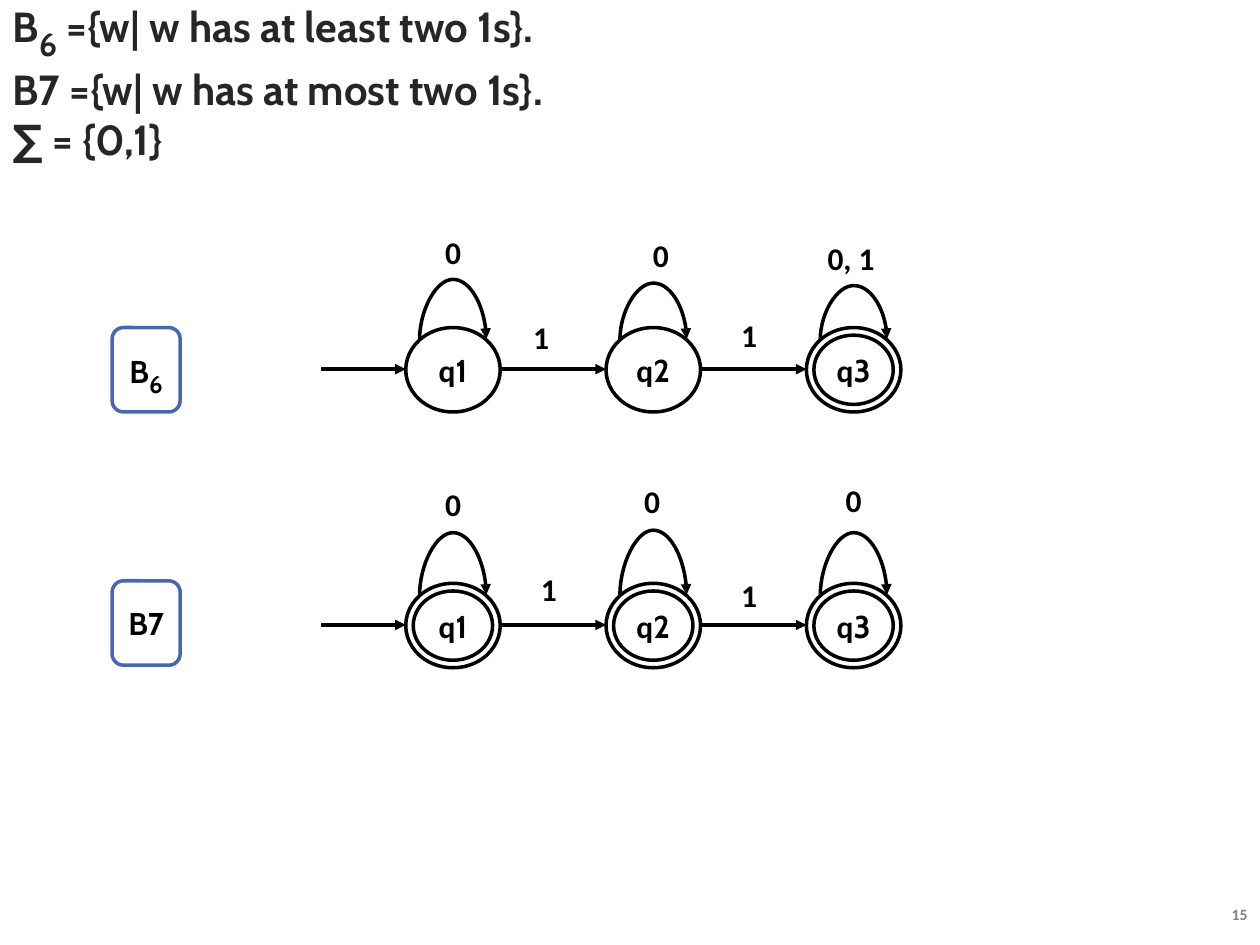
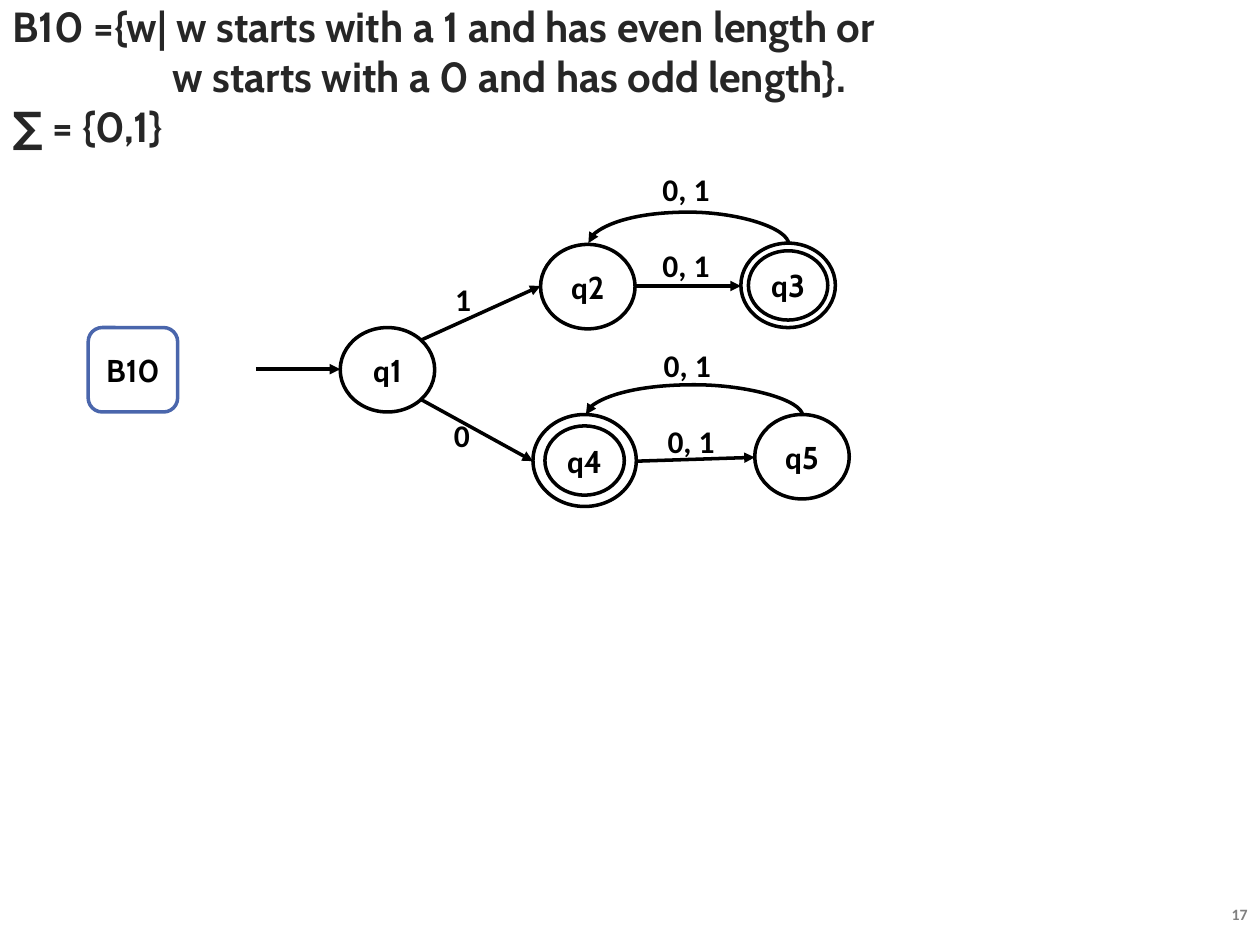
import dataclasses

import pptx
import pptx.dml.color
import pptx.enum.shapes
import pptx.enum.text
import pptx.oxml
import pptx.oxml.ns
import pptx.util

Inches = pptx.util.Inches
Shape = pptx.enum.shapes.MSO_SHAPE
Connector = pptx.enum.shapes.MSO_CONNECTOR
Align = pptx.enum.text.PP_ALIGN
Anchor = pptx.enum.text.MSO_ANCHOR
qn = pptx.oxml.ns.qn


@dataclasses.dataclass(frozen=True)
class Theme:
    ink: str = "000000"
    paper: str = "FFFFFF"
    heading: str = "262626"
    badge: str = "4A66AC"
    footer: str = "808080"
    display_font: str = "Cabin"
    text_font: str = "Calibri"
    heading_size: int = 24
    heading_sub_size: int = 32
    label_size: int = 18
    label_sub_size: int = 24
    footer_size: int = 9
    line_width: int = 2


theme = Theme()
color = pptx.dml.color.RGBColor.from_string

# Grid shared by the diagrams
COLUMN = 1.59                  # distance between neighbouring states
STATE = (0.75, 0.67)
RING = (0.63, 0.55)
LABEL = (0.65, 0.45)
LOOP_INSET = 0.11
LOOP_DROP = 0.10
CURVE_DEPTH = 0.01             # height difference between a curve's ends
ENTRY_LENGTH = 0.67


def add_box(page, preset, area, spans=(), outline=None, filled=True):
    """Add a centred text box, or a shape when a preset is given."""
    place = [Inches(length) for length in area]
    if preset is None:
        box = page.shapes.add_textbox(*place)
    else:
        box = page.shapes.add_shape(preset, *place)
        box.shadow.inherit = False
        box.line.color.rgb = color(outline or theme.ink)
        box.line.width = pptx.util.Pt(theme.line_width)
        if filled:
            box.fill.solid()
            box.fill.fore_color.rgb = color(theme.paper)
        else:
            box.fill.background()
    box.text_frame.word_wrap = True
    box.text_frame.vertical_anchor = Anchor.MIDDLE
    para = box.text_frame.paragraphs[0]
    para.alignment = Align.CENTER
    para.font.bold = True
    para.font.size = pptx.util.Pt(theme.label_size)
    para.font.color.rgb = color(theme.ink)
    for text, font in spans:
        span = para.add_run()
        span.text = text
        span.font.name = font
    return box


def add_arrow(page, start, end, rise=None):
    """Add a straight arrow, or one that curves upwards by rise."""
    kind = Connector.STRAIGHT if rise is None else Connector.CURVE
    arrow = page.shapes.add_connector(kind, *[Inches(length) for length in (*start, *end)])
    arrow.line.color.rgb = color(theme.ink)
    arrow.line.width = pptx.util.Pt(theme.line_width)
    properties = arrow._element.spPr
    tail = pptx.oxml.parse_xml(f'<a:tailEnd {pptx.oxml.ns.nsdecls("a")} type="triangle"/>')
    properties.find(qn("a:ln")).append(tail)
    properties.append(pptx.oxml.parse_xml(f'<a:effectLst {pptx.oxml.ns.nsdecls("a")}/>'))
    if rise is None:
        return
    # The curve preset runs sideways, so it is turned to bulge upwards
    span = abs(end[0] - start[0])
    arrow.left = Inches((start[0] + end[0] - CURVE_DEPTH) / 2)
    arrow.top = Inches(start[1] - (CURVE_DEPTH + span) / 2)
    arrow.width, arrow.height = Inches(CURVE_DEPTH), Inches(span)
    rightward = end[0] > start[0]
    frame = properties.find(qn("a:xfrm"))
    frame.set("rot", str((90 if rightward else 270) * 60000))
    frame.set("flipH", "1" if rightward else "0")
    frame.set("flipV", "1")
    geometry = properties.find(qn("a:prstGeom"))
    guides = geometry.find(qn("a:avLst"))
    guide = pptx.oxml.parse_xml(
        f'<a:gd {pptx.oxml.ns.nsdecls("a")} name="adj1" '
        f'fmla="val {round(rise / CURVE_DEPTH * 100000)}"/>')
    guides.append(guide)


# Page contents. Heading lines: (indent, [(text, is subscript)])
alphabet = (0, [("∑ = {0,1}", False)])
pages = [
    {
        "number": "15",
        "heading": [
            (0, [("B", False), ("6", True), (" ={w| w has at least two 1s}.", False)]),
            (0, [("B7 ={w| w has at most two 1s}.", False)]),
            alphabet,
        ],
        "badges": [("B", "6", 0.89, 2.6, 0.54), ("B7", "", 0.89, 4.61, 0.54)],
        # name, left, top, size, accepting
        "states": [(f"q{column + 1}", 3.22 + column * COLUMN, top, STATE,
                    all_accept or column == 2)
                   for top, all_accept in ((2.6, False), (4.63, True))
                   for column in range(3)],
        "arrows": [((left, top + 0.33), (left + length, top + 0.33))
                   for top in (2.6, 4.63)
                   for left, length in ((2.55, ENTRY_LENGTH),
                                        (3.97, COLUMN - STATE[0]),
                                        (3.97 + COLUMN, COLUMN - STATE[0]))],
        "curves": [((3.22 + column * COLUMN + LOOP_INSET, top + LOOP_DROP),
                    (3.22 + (column * COLUMN) + STATE[0] - LOOP_INSET, top + LOOP_DROP), rise)
                   for top, rises in ((2.6, (0.49, 0.46, 0.44)), (4.63, (0.51, 0.53, 0.51)))
                   for column, rise in enumerate(rises)],
        "labels": [("0", 3.27, 1.77), ("0", 4.92, 1.8), ("0, 1", 6.43, 1.82),
                   ("1", 3.97, 2.45), ("1", 5.62, 2.43),
                   ("0", 3.27, 3.77), ("0", 4.85, 3.75), ("0", 6.45, 3.74),
                   ("1", 4.03, 4.45), ("1", 5.62, 4.5)],
    },
    {
        "number": "17",
        "heading": [
            (0, [("B10 ={w| w starts with a 1 and has even length or", False)]),
            (1.27, [("w starts with a 0 and has odd length}.", False)]),
            alphabet,
        ],
        "badges": [("B10", "", 0.7, 2.6, 0.71)],
        "states": [("q1", 2.7, 2.6, STATE, False),
                   ("q2", 2.7 + COLUMN, 1.94, STATE, False),
                   ("q3", 2.7 + 2 * COLUMN, 1.93, STATE, True),
                   ("q4", 4.23, 3.29, (0.82, 0.73), True),
                   ("q5", 5.99, 3.29, STATE, False)],
        "arrows": [((2.03, 2.93), (2.7, 2.93)), ((3.34, 2.7), (4.29, 2.27)),
                   ((5.04, 2.27), (5.88, 2.27)), ((3.34, 3.17), (4.23, 3.66)),
                   ((5.06, 3.66), (5.99, 3.63))],
        "curves": [((6.26, 1.94), (4.67, 1.94), 0.26), ((6.37, 3.3), (4.65, 3.3), 0.25)],
        "labels": [("1", 3.35, 2.15), ("0", 3.34, 3.23),
                   ("0, 1", 5.12, 1.27), ("0, 1", 5.12, 1.88),
                   ("0, 1", 5.13, 2.67), ("0, 1", 5.16, 3.27)],
    },
]

deck = pptx.Presentation()
deck.slide_width, deck.slide_height = Inches(10), Inches(7.5)

for content in pages:
    page = deck.slides.add_slide(deck.slide_layouts[1])
    title = page.shapes.title
    title._element.getparent().remove(title._element)

    # Language definitions in the body placeholder
    body = page.placeholders[1]
    body.left, body.top, body.width, body.height = 0, 0, Inches(9.1), Inches(1.2)
    frame = body.text_frame
    frame.auto_size = pptx.enum.text.MSO_AUTO_SIZE.NONE
    frame.vertical_anchor = Anchor.MIDDLE
    for index, (indent, spans) in enumerate(content["heading"]):
        para = frame.add_paragraph() if index else frame.paragraphs[0]
        para.space_before = pptx.util.Pt(0)
        para.font.name = theme.display_font
        para.font.size = pptx.util.Pt(theme.heading_size)
        para.font.bold = True
        para.font.color.rgb = color(theme.heading)
        layout = para._p.get_or_add_pPr()
        layout.set("marL", str(Inches(indent)))
        layout.set("indent", "0")
        bullet = pptx.oxml.parse_xml(f'<a:buNone {pptx.oxml.ns.nsdecls("a")}/>')
        layout.find(qn("a:defRPr")).addprevious(bullet)
        for text, is_subscript in spans:
            span = para.add_run()
            span.text = text
            if is_subscript:
                span.font.size = pptx.util.Pt(theme.heading_sub_size)
                span.font._element.set("baseline", "-25000")

    # Page number
    footer = page.shapes.add_textbox(*[Inches(length) for length in (8.73, 7.13, 1.27, 0.25)])
    footer.text_frame.word_wrap = True
    para = footer.text_frame.paragraphs[0]
    para.text = content["number"]
    para.alignment = Align.RIGHT
    para.font.name = theme.text_font
    para.font.size = pptx.util.Pt(theme.footer_size)
    para.font.bold = True
    para.font.color.rgb = color(theme.footer)

    # Machine names
    for name, subscript, left, top, width in content["badges"]:
        spans = [(text, theme.display_font) for text in (name, subscript) if text]
        badge = add_box(page, Shape.ROUNDED_RECTANGLE, (left, top, width, STATE[1]),
                        spans, theme.badge)
        for span in badge.text_frame.paragraphs[0].runs[1:]:
            span.font.size = pptx.util.Pt(theme.label_sub_size)
            span.font._element.set("baseline", "-25000")

    # States, with an inner ring on accepting ones
    for name, left, top, (width, height), accepting in content["states"]:
        add_box(page, Shape.OVAL, (left, top, width, height),
                [(name[0], theme.text_font), (name[1], theme.display_font)])
        if accepting:
            add_box(page, Shape.OVAL, (left + (width - RING[0]) / 2,
                                       top + (height - RING[1]) / 2, *RING), filled=False)

    # Transitions and their symbols
    for start, end in content["arrows"]:
        add_arrow(page, start, end)
    for start, end, rise in content["curves"]:
        add_arrow(page, start, end, rise)
    for symbols, left, top in content["labels"]:
        add_box(page, None, (left, top, *LABEL), [(symbols, theme.text_font)])

deck.save("out.pptx")
